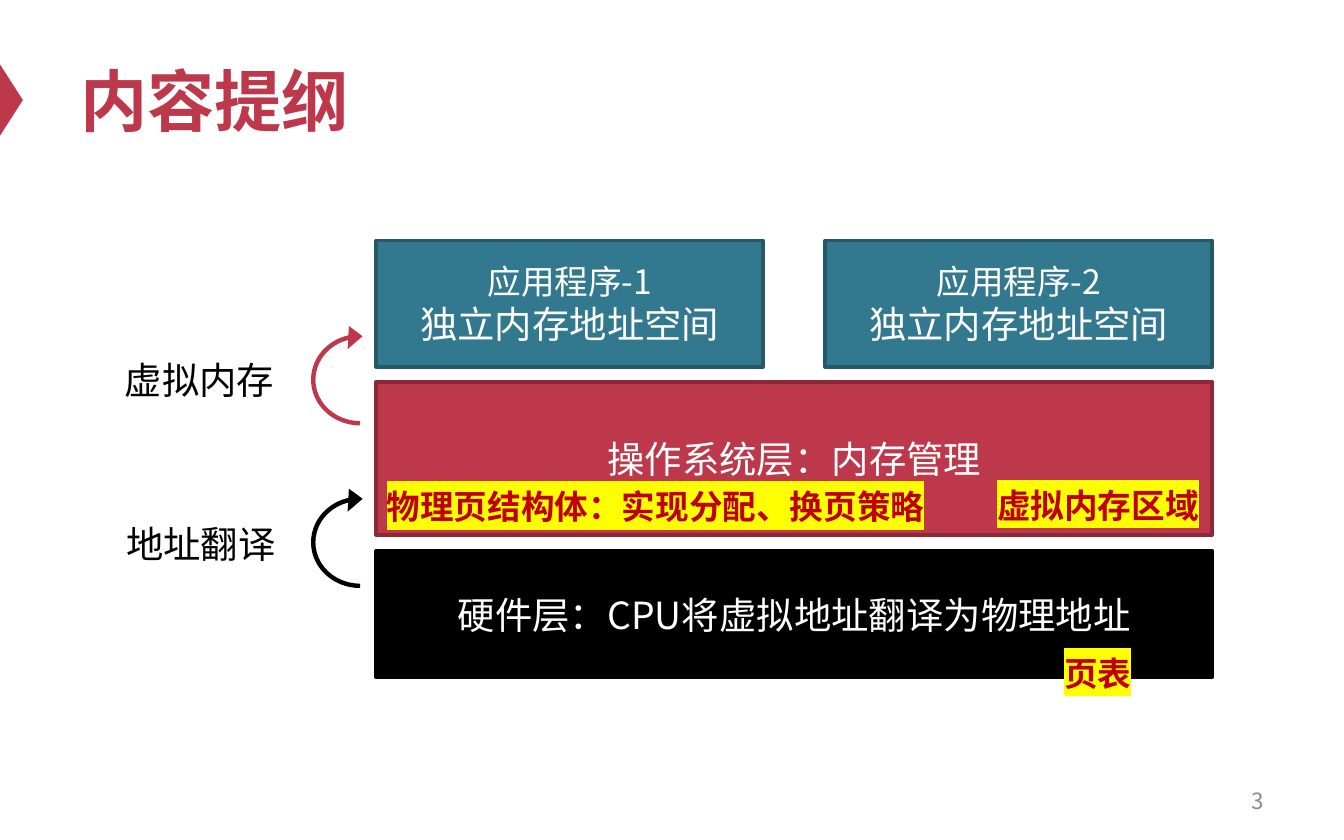
from lxml.etree import SubElement, Element
from pptx import Presentation
from pptx.dml.color import RGBColor
from pptx.enum.shapes import MSO_SHAPE
from pptx.enum.text import MSO_ANCHOR, MSO_AUTO_SIZE, PP_ALIGN
from pptx.oxml.ns import qn
from pptx.util import Inches, Pt

CJK = "Noto Sans CJK SC"
RED, BLACK, WHITE, TEAL = "BE384B", "000000", "FFFFFF", "32788E"
APP_SPACE = ("独立内存地址空间", 20)

LAYERS = [
    ((2.8, 4.1, 6.22, 0.94), BLACK, BLACK, [("硬件层：CPU将虚拟地址翻译为物理地址", 20)]),
    ((2.8, 2.84, 6.22, 1.14), RED, "8D2937", [("操作系统层：内存管理", 20)]),
    ((2.8, 1.79, 2.88, 0.94), TEAL, "255969", [("应用程序-1", 18), APP_SPACE]),
    ((6.14, 1.79, 2.88, 0.94), TEAL, "255969", [("应用程序-2", 18), APP_SPACE]),
]
LABELS = [("地址翻译", (0.84, 3.83, 1.32, 0.44)), ("虚拟内存", (0.83, 2.61, 1.32, 0.44))]
ARROWS = [((2.27, 2.39, 0.82, 0.87), RED), ((2.27, 3.6, 0.82, 0.87), BLACK)]
ARROW_ADJUSTMENTS = (0.04, 11.423, 206.559, 108, 0.105)
KEY_TERMS = [
    ("页表", (7.82, 4.81, 0.71, 0.4)),
    ("虚拟内存区域", (7.32, 3.56, 1.72, 0.4)),
    ("物理页结构体：实现分配、换页策略", (2.78, 3.57, 4.24, 0.4)),
]


def color(value):
    return RGBColor.from_string(value)


def add_run(paragraph, text, size, fill=BLACK, font="Arial", bold=False, highlight=None):
    run = paragraph.add_run()
    run.text = text
    run.font.size = Pt(size)
    run.font.bold = bold
    run.font.name = font
    run.font.color.rgb = color(fill)
    properties = run.font._element
    properties.find(qn("a:latin")).addnext(Element(qn("a:ea"), typeface=CJK))
    if highlight:
        mark = Element(qn("a:highlight"))
        SubElement(mark, qn("a:srgbClr"), val=highlight)
        properties.find(qn("a:solidFill")).addnext(mark)


def add_text(slide, text, box, size, align=PP_ALIGN.LEFT, anchor=MSO_ANCHOR.TOP, fit=True, **style):
    frame = slide.shapes.add_textbox(*map(Inches, box)).text_frame
    frame.word_wrap = not fit
    frame.auto_size = MSO_AUTO_SIZE.SHAPE_TO_FIT_TEXT if fit else MSO_AUTO_SIZE.NONE
    frame.vertical_anchor = anchor
    frame.paragraphs[0].alignment = align
    add_run(frame.paragraphs[0], text, size, **style)


def add_solid(slide, kind, box, fill, line=None, rotation=0):
    shape = slide.shapes.add_shape(kind, *map(Inches, box))
    shape.shadow.inherit = False
    shape.rotation = rotation
    shape.fill.solid()
    shape.fill.fore_color.rgb = color(fill)
    if line:
        shape.line.color.rgb = color(line)
        shape.line.width = Pt(2)
    else:
        shape.line.fill.background()
    return shape


def add_layer(slide, box, fill, line, lines):
    frame = add_solid(slide, MSO_SHAPE.RECTANGLE, box, fill, line).text_frame
    frame.vertical_anchor = MSO_ANCHOR.MIDDLE
    paragraph = frame.paragraphs[0]
    paragraph.alignment = PP_ALIGN.CENTER
    for index, (text, size) in enumerate(lines):
        if index:
            paragraph.add_line_break()
        add_run(paragraph, text, size, fill=WHITE, font=CJK)


def main():
    presentation = Presentation()
    presentation.slide_width, presentation.slide_height = Inches(10), Inches(6.25)
    slide = presentation.slides.add_slide(presentation.slide_layouts[6])

    add_solid(slide, MSO_SHAPE.ISOSCELES_TRIANGLE, (-0.18, 0.66, 0.53, 0.17), RED, rotation=90)
    add_text(slide, "内容提纲", (0.5, 0.25, 9, 0.98), 36, anchor=MSO_ANCHOR.MIDDLE,
             fit=False, fill=RED, bold=True)
    add_text(slide, "3", (7.17, 5.79, 2.33, 0.33), 12, align=PP_ALIGN.RIGHT,
             anchor=MSO_ANCHOR.MIDDLE, fit=False, fill="8C8C8C", font=CJK)

    for layer in LAYERS:
        add_layer(slide, *layer)
    for text, box in LABELS:
        add_text(slide, text, box, 20)
    for box, fill in ARROWS:
        arrow = add_solid(slide, MSO_SHAPE.CIRCULAR_ARROW, box, fill, rotation=270)
        for index, value in enumerate(ARROW_ADJUSTMENTS):
            arrow.adjustments[index] = value
    for text, box in KEY_TERMS:
        add_text(slide, text, box, 18, fill="C00000", bold=True, highlight="FFFF00")

    presentation.save("out.pptx")


if __name__ == "__main__":
    main()
